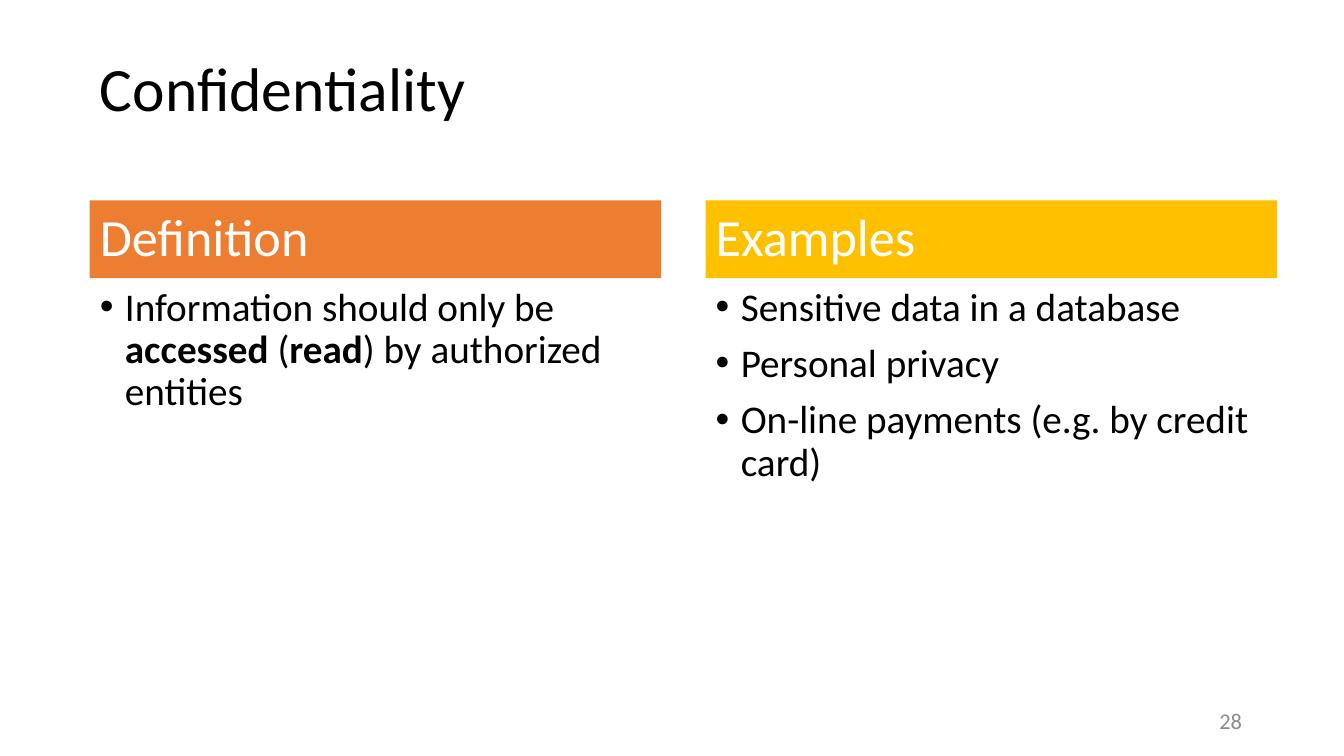
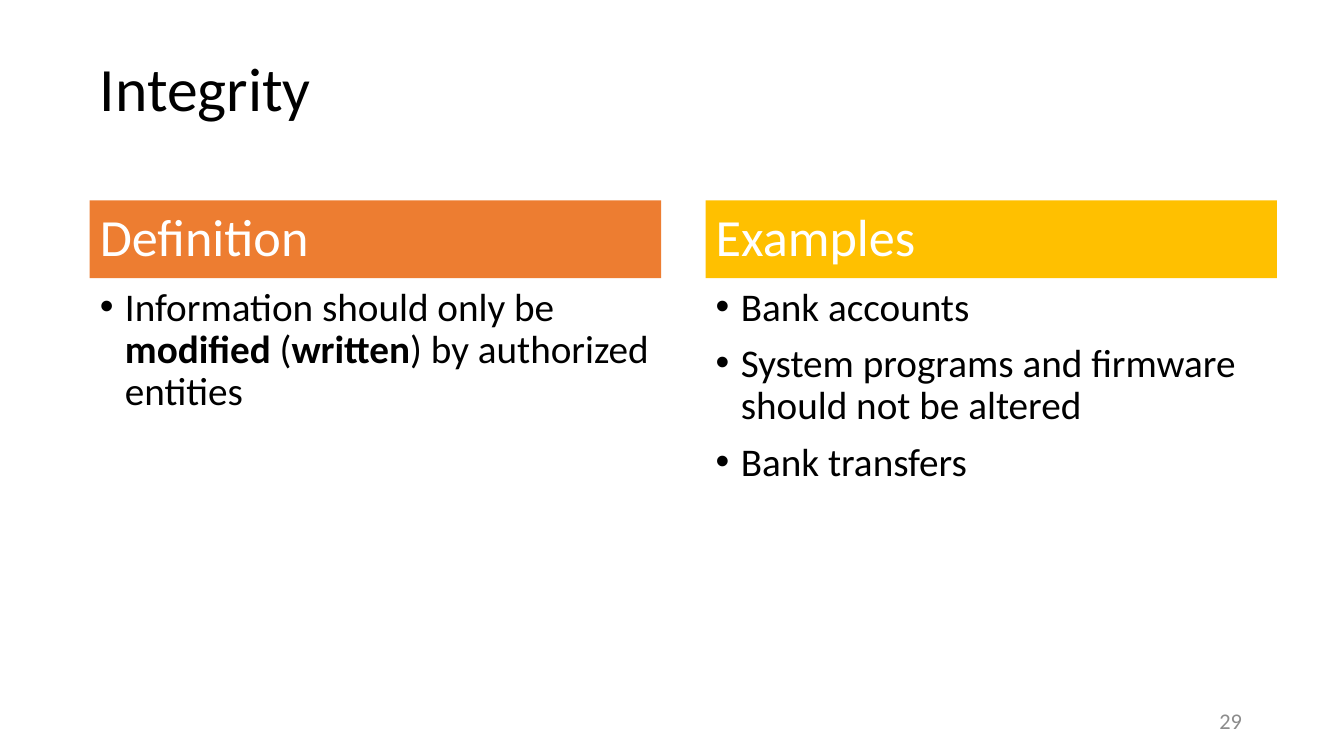
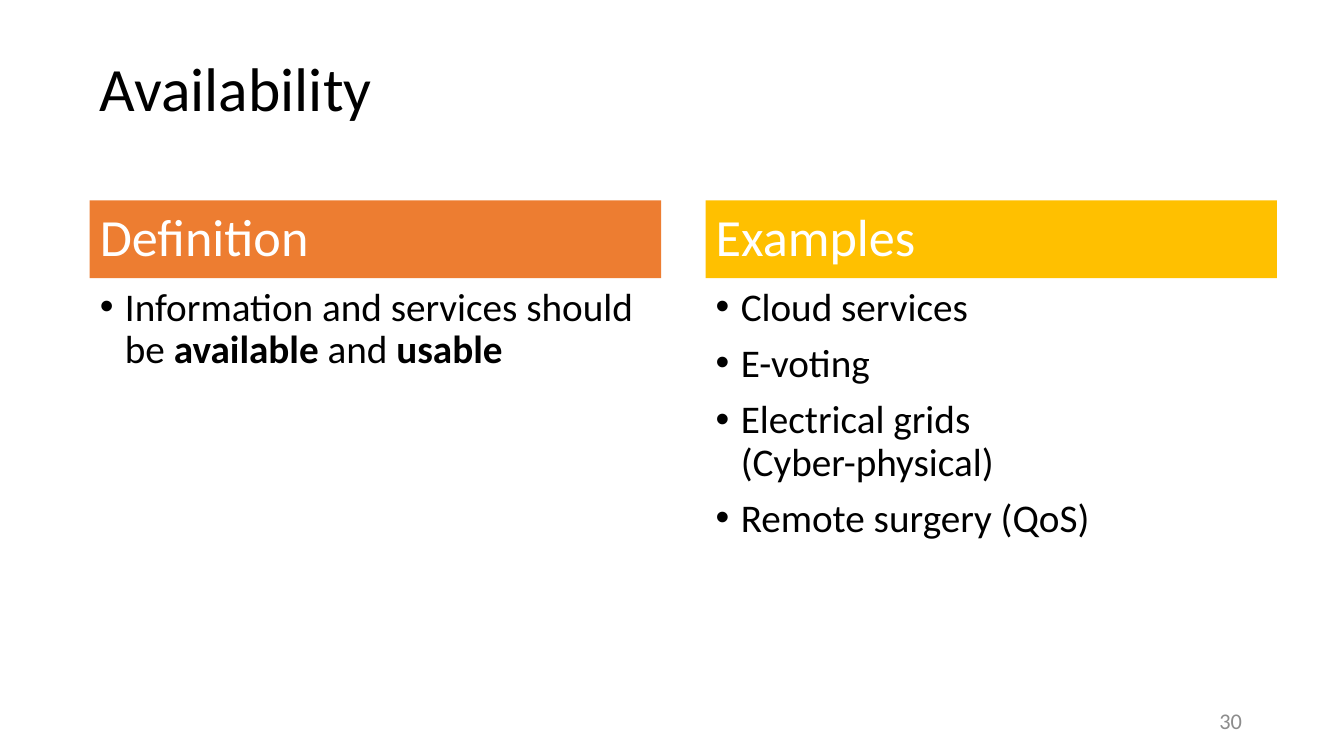
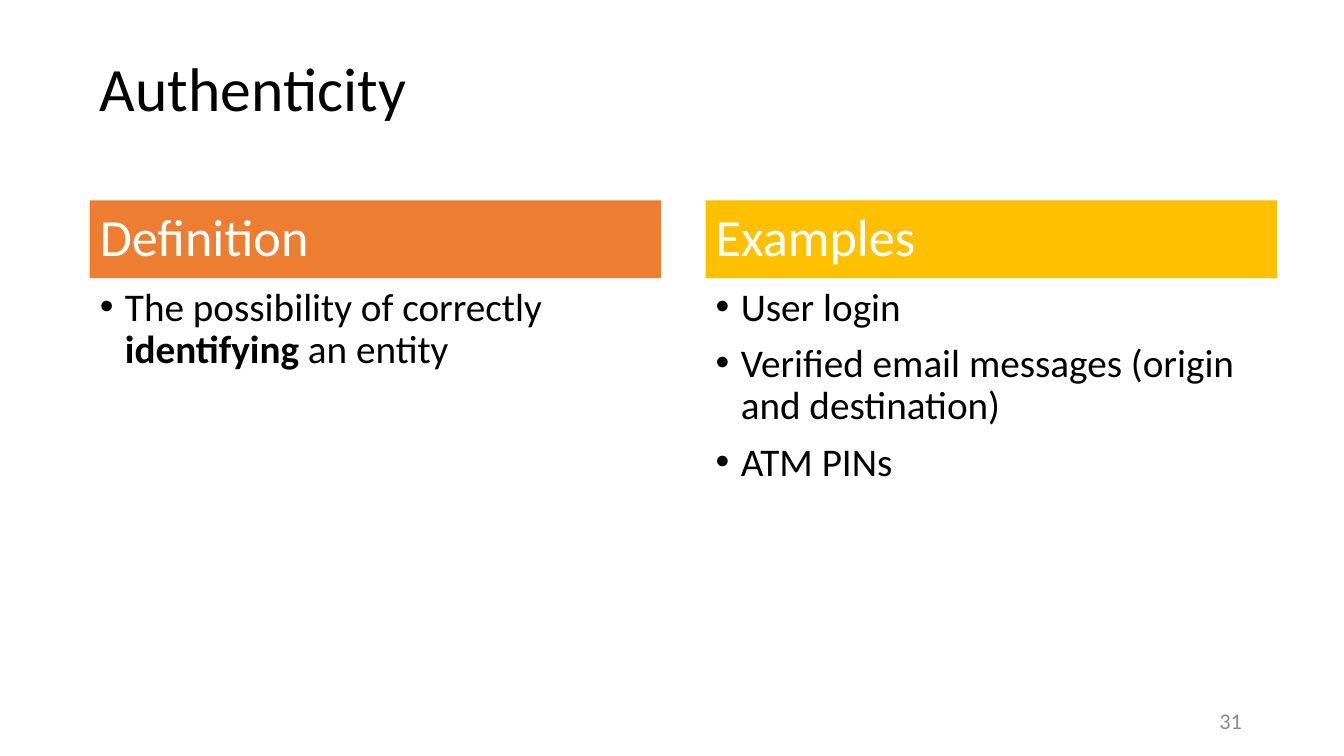
from dataclasses import dataclass

from pptx import Presentation
from pptx.dml.color import RGBColor
from pptx.enum import text
from pptx.util import Cm, Pt


@dataclass(frozen=True)
class Theme:
    font: str = "Calibri"
    ink: str = "000000"
    paper: str = "FFFFFF"
    muted: str = "8C8C8C"
    definition: str = "ED7D31"
    examples: str = "FFC000"
    title: float = 44
    heading: float = 37.3
    body: float = 28
    number: float = 16


theme = Theme()
LEFT = 2.26
COLUMN_WIDTH = 14.4
COLUMN_STEP = 15.52
FIRST_NUMBER = 28


def place(sp, x, y, w, h, anchor=text.MSO_ANCHOR.MIDDLE):
    sp.left, sp.top, sp.width, sp.height = Cm(x), Cm(y), Cm(w), Cm(h)
    tf = sp.text_frame
    tf.word_wrap = True
    tf.auto_size = text.MSO_AUTO_SIZE.NONE
    tf.vertical_anchor = anchor
    return tf


def write(tf, items, size, color, align=text.PP_ALIGN.LEFT, spacing=0.9):
    for i, item in enumerate(items):
        p = tf.add_paragraph() if i else tf.paragraphs[0]
        p.alignment = align
        p.line_spacing = spacing
        p.space_before = Pt(10 if i else 0)
        p.font.name = theme.font
        p.font.size = Pt(size)
        p.font.bold = False
        p.font.color.rgb = RGBColor.from_string(color)
        for j, part in enumerate(item.split("*")):
            for k, line in enumerate(part.split("\n")):
                if k:
                    p.add_line_break()
                if line:
                    r = p.add_run()
                    r.text = line
                    if j % 2:
                        r.font.bold = True


topics = [
    ("Confidentiality",
     ["Information should only be *accessed* (*read*) by authorized entities"],
     ["Sensitive data in a database", "Personal privacy",
      "On-line payments (e.g. by credit card)"],
     COLUMN_WIDTH),
    ("Integrity",
     ["Information should only be *modified* (*written*) by authorized entities"],
     ["Bank accounts", "System programs and firmware should not be altered",
      "Bank transfers"],
     COLUMN_WIDTH),
    ("Availability",
     ["Information and services should be *available* and *usable*"],
     ["Cloud services", "E-voting", "Electrical grids\n(Cyber-physical)",
      "Remote surgery (QoS)"],
     15.52),
    ("Authenticity",
     ["The possibility of correctly *identifying* an entity"],
     ["User login", "Verified email messages (origin and destination)",
      "ATM PINs"],
     COLUMN_WIDTH),
]

prs = Presentation()
prs.slide_width, prs.slide_height = Cm(33.87), Cm(19.05)
comparison = prs.slide_layouts.get_by_name("Comparison")

for number, (title, definition, examples, examples_width) in enumerate(topics, FIRST_NUMBER):
    s = prs.slides.add_slide(comparison)
    tf = place(s.shapes.title, LEFT, 0.43, 30.2, 3.73)
    write(tf, [title], theme.title, theme.ink)

    columns = [
        ("Definition", theme.definition, definition, COLUMN_WIDTH),
        ("Examples", theme.examples, examples, examples_width),
    ]
    for col, (heading, fill, items, width) in enumerate(columns):
        x = LEFT + col * COLUMN_STEP
        band = s.placeholders[1 + 2 * col]
        band.fill.solid()
        band.fill.fore_color.rgb = RGBColor.from_string(fill)
        tf = place(band, x, 5.05, COLUMN_WIDTH, 1.96)
        write(tf, [heading], theme.heading, theme.paper)

        body = s.placeholders[2 + 2 * col]
        tf = place(body, x, 7.11, width, 9.73, text.MSO_ANCHOR.TOP)
        write(tf, items, theme.body, theme.ink)
        for p in tf.paragraphs:
            pPr = p._p.get_or_add_pPr()
            pPr.set("marL", str(Pt(18)))
            pPr.set("indent", str(-Pt(18)))

    box = s.shapes.add_textbox(0, 0, 0, 0)
    tf = place(box, 23.93, 17.65, 7.62, 1.02)
    write(tf, [str(number)], theme.number, theme.muted, text.PP_ALIGN.RIGHT, 1.0)

prs.save("out.pptx")
